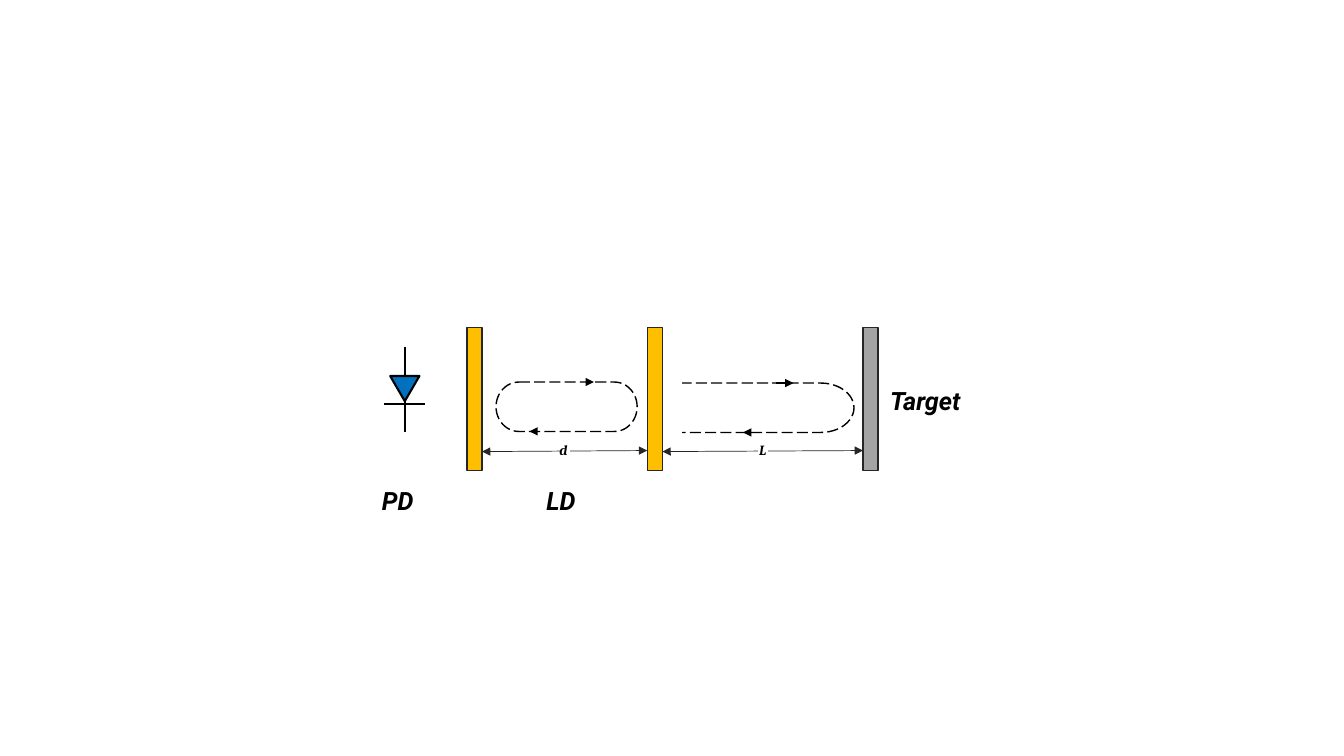
from lxml import etree
from pptx import Presentation
from pptx.dml.color import RGBColor
from pptx.enum.dml import MSO_LINE
from pptx.enum.shapes import MSO_CONNECTOR, MSO_SHAPE
from pptx.enum.text import MSO_ANCHOR
from pptx.oxml.ns import qn
from pptx.util import Inches, Pt

BLACK, WHITE, DARK = "000000", "FFFFFF", "262626"
GOLD, GREY, BLUE = "FEBF01", "A4A4A4", "0170BF"

loops = [(4.92, 3.79, 1.4, 0.49), (6.42, 3.8, 2.05, 0.49)]
loop_opening = (6.41, 3.71, 0.35, 0.68)
flow_arrows = [
    (5.83, 3.79, 5.89, 3.79),
    (5.32, 4.28, 5.25, 4.28),
    (7.7, 3.8, 7.87, 3.8),
    (7.54, 4.29, 7.37, 4.29),
]
plate_top, plate_width, plate_height = 3.25, 0.15, 1.42
plates = [(4.63, GOLD), (6.42, GOLD), (8.56, GREY)]
span_left, span_right = 4.48, 4.47
span_gaps = [(5.56, 4.44, 0.09, 0.09), (7.52, 4.43, 0.09, 0.09)]
diode_triangle = (3.87, 3.73, 0.29, 0.25)
diode_lines = [(4.02, 3.44, 4.02, 4.29), (3.81, 4.01, 4.22, 4.01)]
labels = [
    ("LD", 5.32, 4.77, 0.61, 0.4, 18, "Roboto"),
    ("Target", 8.73, 3.77, 0.91, 0.4, 18, "Roboto"),
    ("PD", 3.69, 4.77, 0.65, 0.4, 18, "Roboto"),
    ("d", 5.45, 4.33, 0.19, 0.27, 10, "Cambria"),
    ("L", 7.43, 4.33, 0.19, 0.27, 10, "Cambria"),
]

prs = Presentation()
prs.slide_width, prs.slide_height = Inches(13.33), Inches(7.5)
slide = prs.slides.add_slide(prs.slide_layouts[6])


def rgb(value):
    return RGBColor.from_string(value)


def add_figure(kind, box, fill, outline, weight=1):
    figure = slide.shapes.add_shape(kind, *map(Inches, box))
    figure.shadow.inherit = False
    figure.fill.solid()
    figure.fill.fore_color.rgb = rgb(fill)
    figure.line.color.rgb = rgb(outline)
    figure.line.width = Pt(weight)
    return figure


def add_line(ends, color, weight, arrowheads=()):
    line = slide.shapes.add_connector(MSO_CONNECTOR.STRAIGHT, *map(Inches, ends))
    line.line.color.rgb = rgb(color)
    line.line.width = Pt(weight)
    outline = line.line._get_or_add_ln()
    for end in arrowheads:
        etree.SubElement(outline, qn(f"a:{end}"), type="triangle")
    etree.SubElement(line._element.spPr, qn("a:effectLst"))


def add_label(words, left, top, width, height, size, font):
    label = slide.shapes.add_textbox(*map(Inches, (left, top, width, height)))
    frame = label.text_frame
    frame.word_wrap = True
    frame.vertical_anchor = MSO_ANCHOR.TOP
    frame.margin_right = 0
    run = frame.paragraphs[0].add_run()
    run.text = words
    run.font.name = font
    run.font.size = Pt(size)
    run.font.bold = run.font.italic = True
    run.font.color.rgb = rgb(BLACK)


for loop in loops:
    light_path = add_figure(MSO_SHAPE.FLOWCHART_TERMINATOR, loop, WHITE, BLACK)
    light_path.line.dash_style = MSO_LINE.LONG_DASH
add_figure(MSO_SHAPE.RECTANGLE, loop_opening, WHITE, WHITE)
for arrow in flow_arrows:
    add_line(arrow, BLACK, 1, ["tailEnd"])

for left, color in plates:
    add_figure(MSO_SHAPE.RECTANGLE, (left, plate_top, plate_width, plate_height), color, DARK)
for (left, _), (right, _) in zip(plates, plates[1:]):
    add_line((left + plate_width, span_left, right, span_right), DARK, 0.5, ["headEnd", "tailEnd"])
for gap in span_gaps:
    add_figure(MSO_SHAPE.RECTANGLE, gap, WHITE, WHITE)

lead, cathode = diode_lines
add_line(lead, BLACK, 1.5)
add_figure(MSO_SHAPE.ISOSCELES_TRIANGLE, diode_triangle, BLUE, BLACK, 1.5).rotation = 180
add_line(cathode, BLACK, 1.5)

for label in labels:
    add_label(*label)

prs.save("out.pptx")
